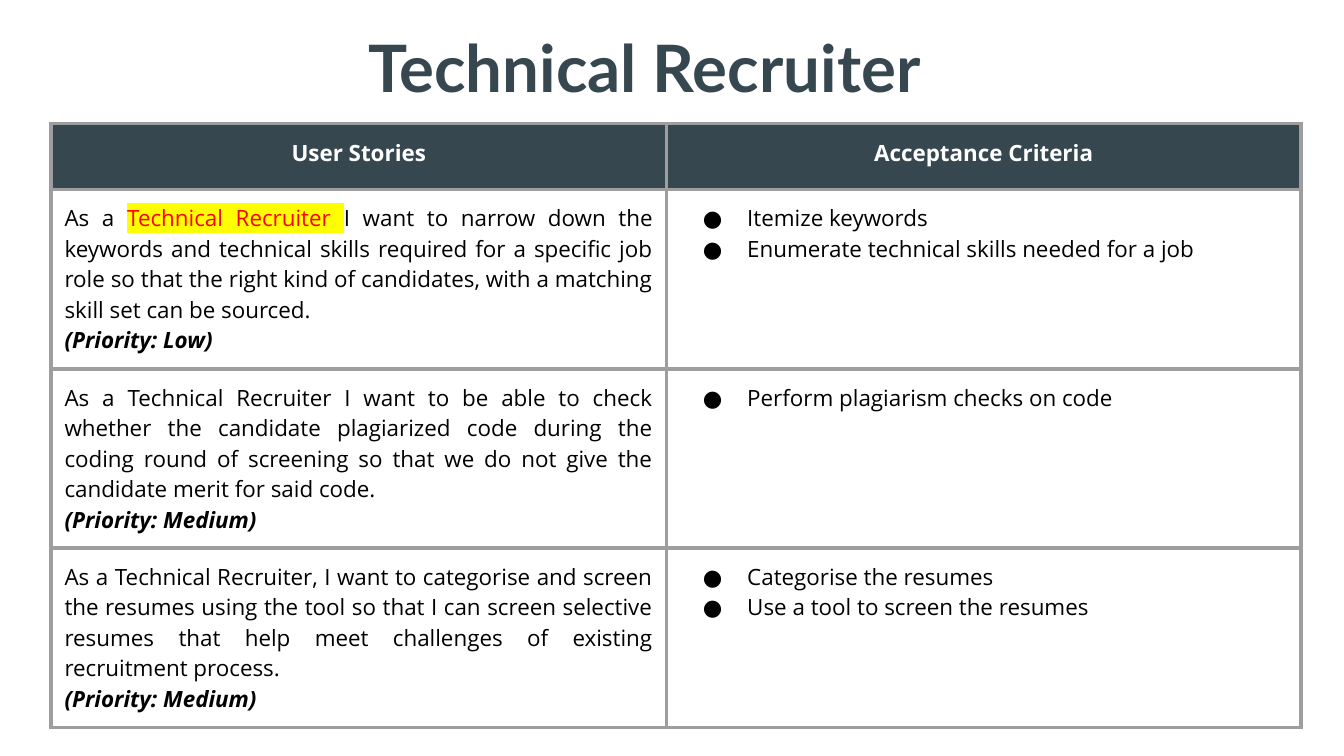
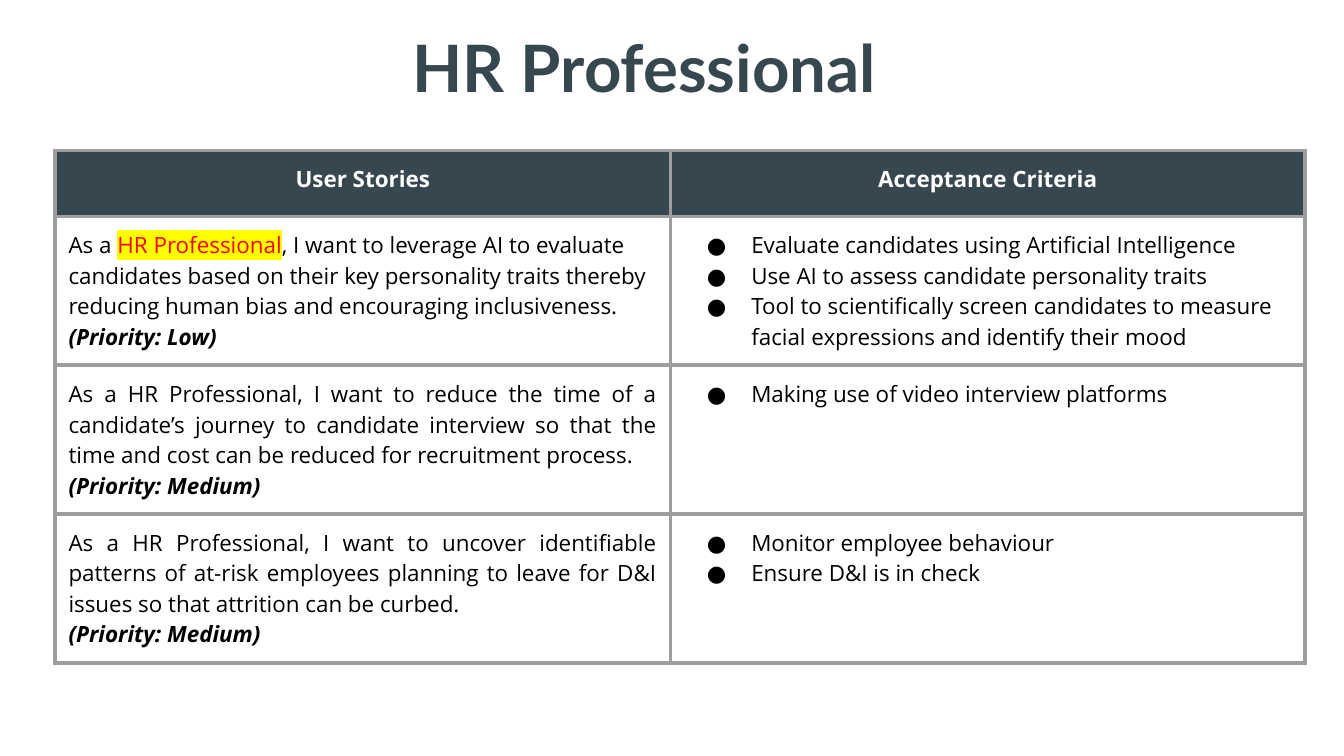
import pptx
import pptx.util
import pptx.dml.color
import pptx.enum.text
import pptx.oxml.ns
import lxml.etree

Inches, Pt = pptx.util.Inches, pptx.util.Pt
Align = pptx.enum.text.PP_ALIGN

# Content: a story is (text, marked words, priority, alignment, criteria)
HEADS = ("User Stories", "Acceptance Criteria")
SLIDES = [
    {"title": "Technical Recruiter", "at": (0.38, 0.92), "rows": [
        ("As a Technical Recruiter I want to narrow down the keywords and technical "
         "skills required for a specific job role so that the right kind of "
         "candidates, with a matching skill set can be sourced. ",
         "Technical Recruiter ", "Low", Align.JUSTIFY,
         ["Itemize keywords", "Enumerate technical skills needed for a job"]),
        ("As a Technical Recruiter I want to be able to check whether the candidate "
         "plagiarized code during the coding round of screening so that we do not "
         "give the candidate merit for said code. ",
         "", "Medium", Align.JUSTIFY,
         ["Perform plagiarism checks on code"]),
        ("As a Technical Recruiter, I want to categorise and screen the resumes "
         "using the tool so that I can screen selective resumes that help meet "
         "challenges of existing recruitment process.",
         "", "Medium", Align.JUSTIFY,
         ["Categorise the resumes", "Use a tool to screen the resumes"]),
    ]},
    {"title": "HR Professional", "at": (0.41, 1.12), "rows": [
        ("As a HR Professional, I want to leverage AI to evaluate candidates based "
         "on their key personality traits thereby reducing human bias and "
         "encouraging inclusiveness.",
         "HR Professional", "Low", Align.LEFT,
         ["Evaluate candidates using Artificial Intelligence",
          "Use AI to assess candidate personality traits",
          "Tool to scientifically screen candidates to measure facial expressions "
          "and identify their mood"]),
        ("As a HR Professional, I want to reduce the time of a candidate’s journey "
         "to candidate interview so that the time and cost can be reduced for "
         "recruitment process.",
         "", "Medium", Align.JUSTIFY,
         ["Making use of video interview platforms"]),
        ("As a HR Professional, I want to uncover identifiable patterns of at-risk "
         "employees planning to leave for D&I issues so that attrition can be "
         "curbed.",
         "", "Medium", Align.JUSTIFY,
         ["Monitor employee behaviour", "Ensure D&I is in check"]),
    ]},
]

# Shared look
SLATE, GREY, BLACK, WHITE = "37474F", "9E9E9E", "000000", "FFFFFF"
RED, YELLOW = "FF0000", "FFFF00"
HEAD_FACE, BODY_FACE = "Lato", "Open Sans"
COLS = (4.58, 4.72)
ROWS = (0.49, 0.86, 1.08, 0.86)


def color(code):
    return pptx.dml.color.RGBColor.from_string(code)


def add_tag(parent, tag, **attrs):
    node = lxml.etree.SubElement(parent, pptx.oxml.ns.qn(tag))
    for key, value in attrs.items():
        node.set(key, str(value))
    return node


def style(para, size, face, code, bold=False, italic=False):
    font = para.font
    font.size, font.name = Pt(size), face
    font.bold, font.italic = bold, italic
    font.color.rgb = color(code)


def set_pad(box):
    box.margin_left = box.margin_right = Inches(0.1)
    box.margin_top = box.margin_bottom = Inches(0.1)


def add_para(cell, first, align, code=BLACK, bold=False, italic=False, dot=False):
    frame = cell.text_frame
    para = frame.paragraphs[0] if first else frame.add_paragraph()
    para.alignment = align
    if dot:
        props = para._p.get_or_add_pPr()
        props.set("marL", str(Inches(0.5)))
        props.set("indent", str(Inches(-0.33)))
        add_tag(add_tag(props, "a:buClr"), "a:srgbClr", val=BLACK)
        add_tag(props, "a:buSzPts", val=1200)
        add_tag(props, "a:buFont", typeface=BODY_FACE)
        add_tag(props, "a:buChar", char="●")
    style(para, 12, BODY_FACE, code, bold, italic)
    return para


def add_run(para, text, marked=False):
    run = para.add_run()
    run.text = text
    if marked:
        run.font.color.rgb = color(RED)
        glow = add_tag(run._r.get_or_add_rPr(), "a:highlight")
        add_tag(glow, "a:srgbClr", val=YELLOW)


def set_cell(cell, fill=None):
    set_pad(cell)
    props = cell._tc.get_or_add_tcPr()
    for side in "LRTB":
        line = add_tag(props, f"a:ln{side}", w=Pt(2.25))
        add_tag(add_tag(line, "a:solidFill"), "a:srgbClr", val=GREY)
    if fill:
        cell.fill.solid()
        cell.fill.fore_color.rgb = color(fill)
    else:
        cell.fill.background()


def fill_story(cell, text, mark, level, align):
    para = add_para(cell, True, align)
    if mark:
        before, mark, after = text.partition(mark)
        add_run(para, before)
        add_run(para, mark, marked=True)
        add_run(para, after)
    else:
        add_run(para, text)
    last = add_para(cell, False, Align.JUSTIFY, bold=True, italic=True)
    add_run(last, f"(Priority: {level})")


def add_title(slide, text):
    title = slide.shapes.title
    title.left, title.top = Inches(1.39), Inches(0)
    title.width, title.height = Inches(6.81), Inches(0.99)
    frame = title.text_frame
    set_pad(frame)
    frame.word_wrap = True
    frame.vertical_anchor = pptx.enum.text.MSO_ANCHOR.MIDDLE
    para = frame.paragraphs[0]
    para.text, para.alignment = text, Align.CENTER
    style(para, 35, HEAD_FACE, SLATE, bold=True)


def add_grid(slide, at, rows):
    left, top = map(Inches, at)
    grid = slide.shapes.add_table(len(ROWS), len(COLS), left, top,
                                  Inches(sum(COLS)), Inches(sum(ROWS))).table
    grid.first_row = grid.horz_banding = False
    for col, width in zip(grid.columns, COLS):
        col.width = Inches(width)
    for row, height in zip(grid.rows, ROWS):
        row.height = Inches(height)

    # Head row
    for col, head in enumerate(HEADS):
        cell = grid.cell(0, col)
        set_cell(cell, SLATE)
        add_run(add_para(cell, True, Align.CENTER, WHITE, bold=True), head)

    # Stories and their criteria
    for num, (text, mark, level, align, points) in enumerate(rows, 1):
        story, tests = grid.cell(num, 0), grid.cell(num, 1)
        set_cell(story)
        set_cell(tests)
        fill_story(story, text, mark, level, align)
        for rank, point in enumerate(points):
            add_run(add_para(tests, rank == 0, Align.LEFT, dot=True), point)


def main():
    deck = pptx.Presentation()
    deck.slide_width = Inches(10)
    deck.slide_height = deck.slide_width * 9 // 16
    for page in SLIDES:
        slide = deck.slides.add_slide(deck.slide_layouts[5])
        add_title(slide, page["title"])
        add_grid(slide, page["at"], page["rows"])
    deck.save("out.pptx")


if __name__ == "__main__":
    main()
